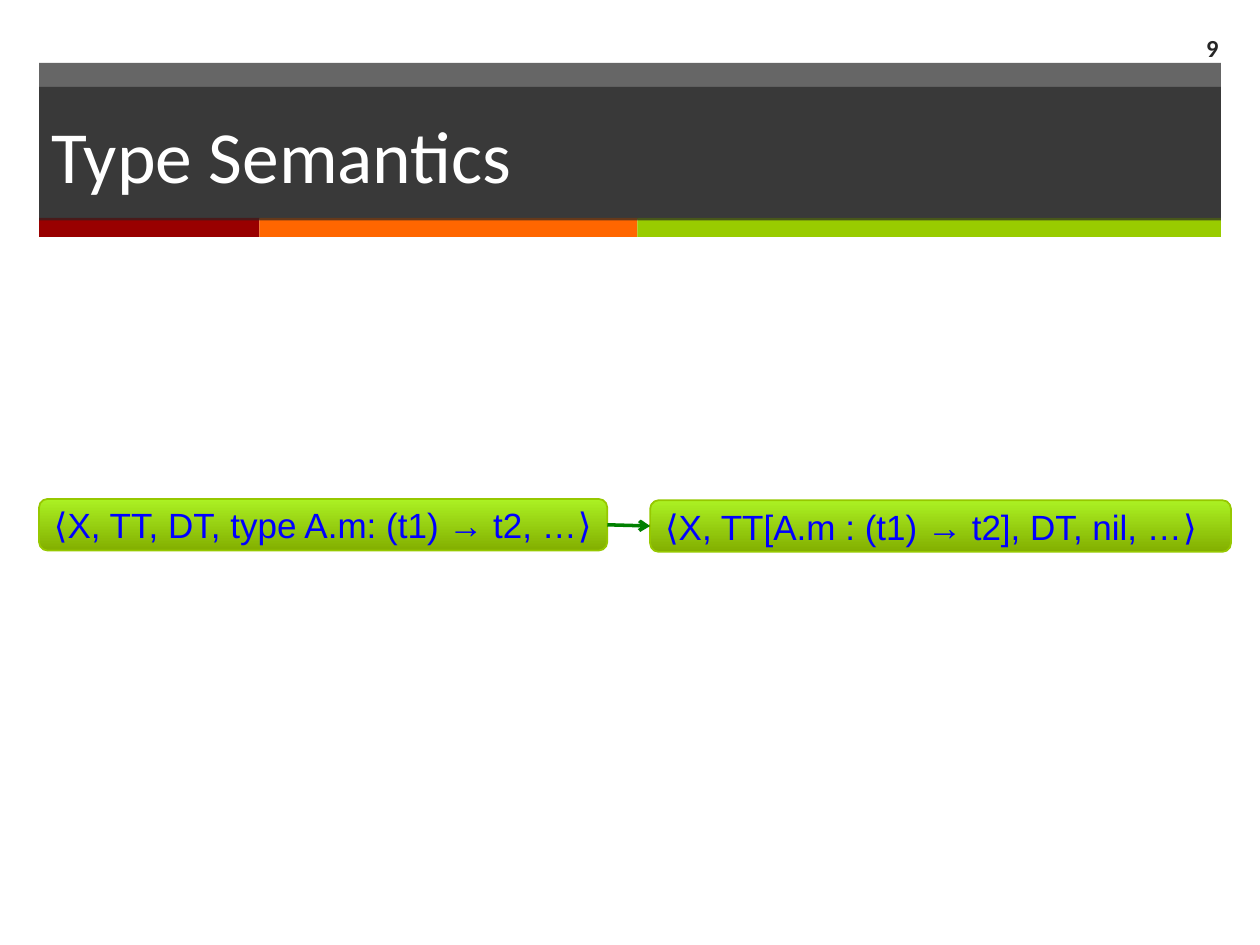
from lxml import etree
from pptx import Presentation
from pptx.dml.color import RGBColor
from pptx.enum.shapes import MSO_CONNECTOR, MSO_SHAPE
from pptx.enum.text import MSO_ANCHOR, PP_ALIGN
from pptx.oxml.ns import qn
from pptx.util import Inches, Pt

RECTANGLE = MSO_SHAPE.RECTANGLE
ROUNDED = MSO_SHAPE.ROUNDED_RECTANGLE
STRAIGHT = MSO_CONNECTOR.STRAIGHT
MIDDLE = MSO_ANCHOR.MIDDLE
LEFT, RIGHT = PP_ALIGN.LEFT, PP_ALIGN.RIGHT

CHARCOAL = RGBColor(0x26, 0x26, 0x26)
WHITE = RGBColor(0xFF, 0xFF, 0xFF)
RED = RGBColor(0x99, 0x00, 0x00)
ORANGE = RGBColor(0xFF, 0x66, 0x00)
LIME = RGBColor(0x99, 0xCC, 0x00)
STATE_DARK = RGBColor(0x83, 0xAF, 0x00)
STATE_LIGHT = RGBColor(0xAB, 0xF1, 0x23)
STATE_EDGE = RGBColor(0x96, 0xC8, 0x00)
BLUE = RGBColor(0x00, 0x00, 0xFF)
GREEN = RGBColor(0x00, 0x80, 0x00)

MARGIN = 0.31
BAND_WIDTH = 9.38


def write_text(shape, text, size, font_name, color, align=LEFT, bold=False):
    frame = shape.text_frame
    frame.word_wrap = True
    frame.vertical_anchor = MIDDLE
    paragraph = frame.paragraphs[0]
    paragraph.text = text
    paragraph.alignment = align
    font = paragraph.font
    font.size = Pt(size)
    font.name = font_name
    font.color.rgb = color
    font.bold = bold


def add_bar(page, left, top, width, height, color, opacity=100):
    bar = page.shapes.add_shape(
        RECTANGLE, Inches(left), Inches(top), Inches(width), Inches(height))
    bar.shadow.inherit = False
    bar.fill.solid()
    bar.fill.fore_color.rgb = color
    bar.line.fill.background()
    if opacity < 100:
        color_node = bar.fill._xPr.find(qn("a:solidFill"))[0]
        etree.SubElement(color_node, qn("a:alpha"), val=str(opacity * 1000))
    return bar


def add_state(page, left, top, width, text):
    state = page.shapes.add_shape(
        ROUNDED, Inches(left), Inches(top), Inches(width), Inches(0.41))
    state.shadow.inherit = False
    state.fill.gradient()
    state.fill.gradient_angle = 90
    for stop, color in zip(state.fill.gradient_stops, (STATE_DARK, STATE_LIGHT)):
        stop.color.rgb = color
    state.line.color.rgb = STATE_EDGE
    state.line.width = Pt(1)
    write_text(state, text, 20, "Arial", BLUE)
    state.text_frame.margin_right = 0
    return state


def add_arrow(page, source, target):
    arrow = page.shapes.add_connector(STRAIGHT, 0, 0, 0, 0)
    arrow.begin_connect(source, 3)
    arrow.end_connect(target, 1)
    arrow.line.color.rgb = GREEN
    arrow.line.width = Pt(2)
    etree.SubElement(arrow.line._get_or_add_ln(), qn("a:tailEnd"), type="arrow")
    etree.SubElement(arrow._element.spPr, qn("a:effectLst"))


def add_header(page):
    add_bar(page, MARGIN, 0.5, BAND_WIDTH, 1.24, CHARCOAL, 70)
    left = MARGIN
    for width, color in ((1.75, RED), (3, ORANGE), (4.63, LIME)):
        add_bar(page, left, 1.73, width, 0.15, color)
        left += width
    title = add_bar(page, MARGIN, 0.69, BAND_WIDTH, 1.06, CHARCOAL, 70)
    write_text(title, "Type Semantics", 42, "Calibri", WHITE)
    number = page.shapes.add_textbox(
        Inches(9.08), Inches(0.18), Inches(0.69), Inches(0.39))
    write_text(number, "9", 14, "Calibri", CHARCOAL, RIGHT, True)


def main():
    deck = Presentation()
    deck.slide_width, deck.slide_height = Inches(10), Inches(7.5)
    page = deck.slides.add_slide(deck.slide_layouts[6])
    add_header(page)
    before = add_state(page, MARGIN, 3.96, 4.51,
                       "⟨X, TT, DT, type A.m: (t1) → t2, …⟩")
    after = add_state(page, 5.16, 3.97, 4.61,
                      "⟨X, TT[A.m : (t1) → t2], DT, nil, …⟩")
    add_arrow(page, before, after)
    deck.save("out.pptx")


main()
